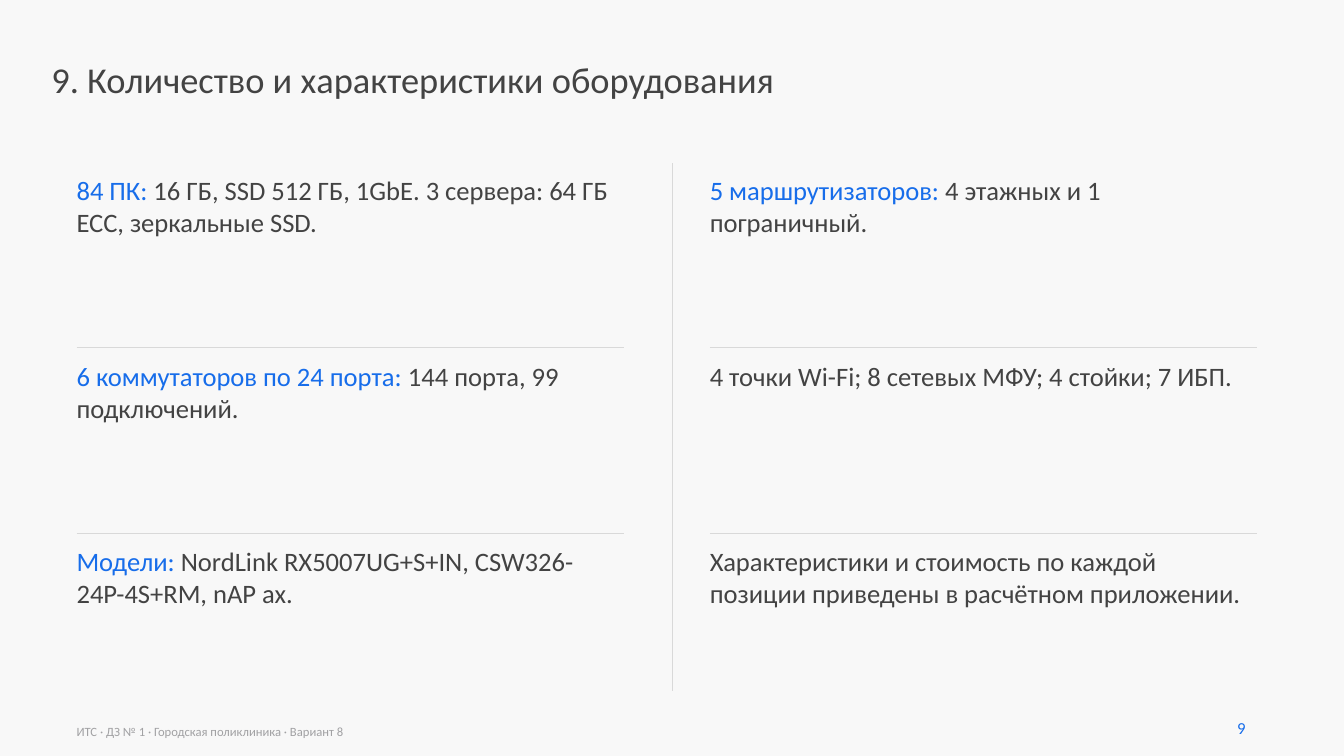
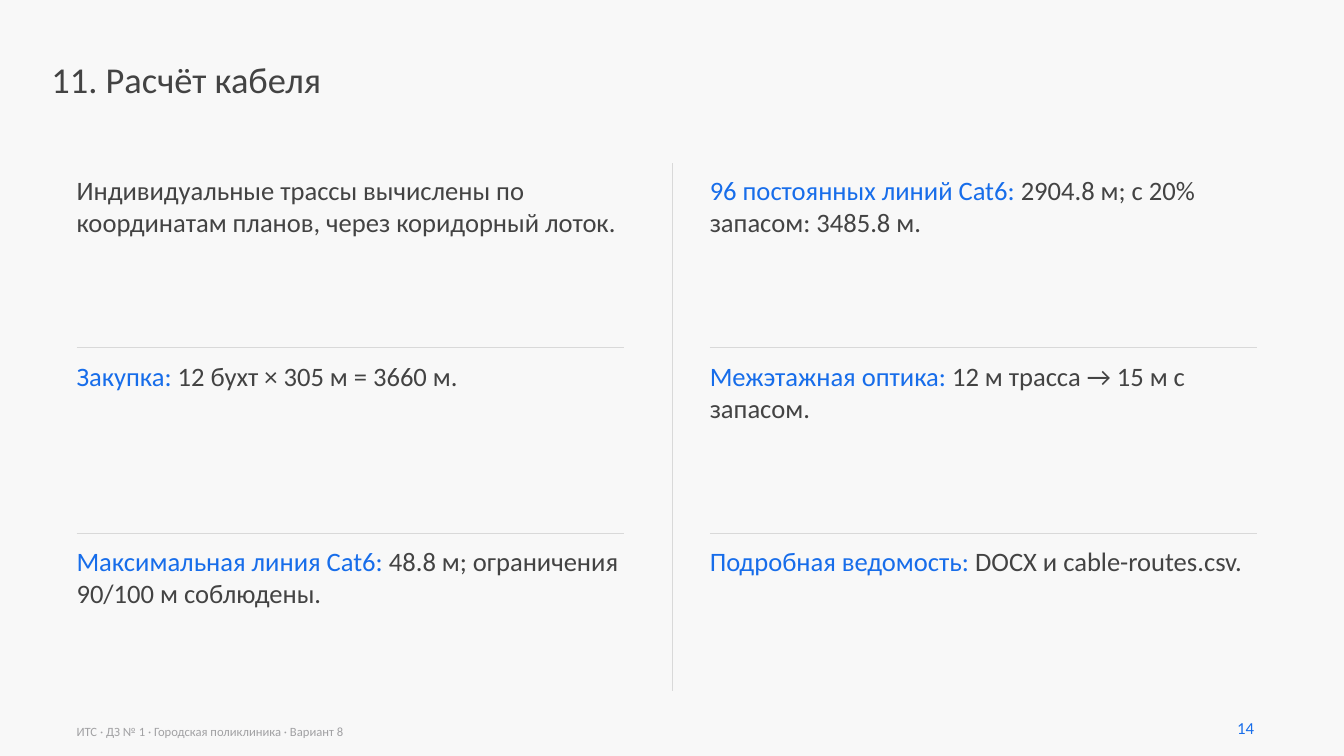
from lxml import etree
from pptx import Presentation, util as u
from pptx.dml.color import RGBColor
from pptx.enum import shapes, text
from pptx.oxml.ns import qn

FOOTER = "ИТС · ДЗ № 1 · Городская поликлиника · Вариант 8"
SLIDES = [
    {
        "title": "9. Количество и характеристики оборудования",
        "number": "9",
        "facts": [
            ("84 ПК:", " 16 ГБ, SSD 512 ГБ, 1GbE. 3 сервера: 64 ГБ ECC, зеркальные SSD."),
            ("5 маршрутизаторов:", " 4 этажных и 1 пограничный."),
            ("6 коммутаторов по 24 порта:", " 144 порта, 99 подключений."),
            ("", "4 точки Wi-Fi; 8 сетевых МФУ; 4 стойки; 7 ИБП."),
            ("Модели:", " NordLink RX5007UG+S+IN, CSW326-24P-4S+RM, nAP ax."),
            ("", "Характеристики и стоимость по каждой позиции приведены в расчётном приложении."),
        ],
    },
    {
        "title": "11. Расчёт кабеля",
        "number": "14",
        "facts": [
            ("", "Индивидуальные трассы вычислены по координатам планов, через коридорный лоток."),
            ("96 постоянных линий Cat6:", " 2904.8 м; с 20% запасом: 3485.8 м."),
            ("Закупка:", " 12 бухт × 305 м = 3660 м."),
            ("Межэтажная оптика:", " 12 м трасса → 15 м с запасом."),
            ("Максимальная линия Cat6:", " 48.8 м; ограничения 90/100 м соблюдены."),
            ("Подробная ведомость:", " DOCX и cable-routes.csv."),
        ],
    },
]

COLORS = {"back": "F8F8F8", "ink": "434343", "accent": "176DEA",
          "rule": "D9D9D9", "footer": "A1A1A3"}
FONT = "Calibri"
COLUMNS = (0.76, 7.04)
CELL_W, CELL_H = 5.43, 1.55
ROW_TOP, ROW_STEP = 1.73, 1.84
RULE_GAP = 0.12
DIVIDER = (6.67, 1.62, 6.67, 6.86)


def rgb(name):
    return RGBColor.from_string(COLORS[name])


def write(sp, box, size, runs):
    sp.left, sp.top, sp.width, sp.height = map(u.Inches, box)
    tf = sp.text_frame
    tf.word_wrap = True
    tf.auto_size = text.MSO_AUTO_SIZE.NONE
    tf.vertical_anchor = text.MSO_ANCHOR.TOP
    tf.margin_left = tf.margin_top = tf.margin_right = tf.margin_bottom = 0
    p = tf.paragraphs[0]
    p.alignment = text.PP_ALIGN.LEFT
    for words, color in runs:
        r = p.add_run()
        r.text = words
        r.font.name = FONT
        r.font.size = u.Pt(size)
        r.font.color.rgb = rgb(color)


def add_text(s, box, size, runs):
    write(s.shapes.add_textbox(*map(u.Inches, box)), box, size, runs)


def add_rule(s, ends):
    line = s.shapes.add_connector(shapes.MSO_CONNECTOR.STRAIGHT, *map(u.Inches, ends))
    line.line.color.rgb = rgb("rule")
    line.line.width = u.Pt(0.75)
    etree.SubElement(line._element.spPr, qn("a:effectLst"))


def add_facts(s, facts):
    for i, (label, detail) in enumerate(facts):
        row, col = divmod(i, len(COLUMNS))
        x, y = COLUMNS[col], ROW_TOP + row * ROW_STEP
        if row:
            add_rule(s, (x, y - RULE_GAP, x + CELL_W, y - RULE_GAP))
        runs = [(label, "accent")] if label else []
        add_text(s, (x, y, CELL_W, CELL_H), 19, runs + [(detail, "ink")])


def add_slide(prs, content):
    s = prs.slides.add_slide(prs.slide_layouts[5])
    write(s.shapes.title, (0.51, 0.57, 12.26, 0.95), 26, [(content["title"], "ink")])
    add_rule(s, DIVIDER)
    add_facts(s, content["facts"])
    add_text(s, (COLUMNS[0], 7.18, 10, 0.18), 9, [(FOOTER, "footer")])
    add_text(s, (12.27, 7.12, 0.45, 0.27), 12, [(content["number"], "accent")])


def main():
    prs = Presentation()
    prs.slide_width, prs.slide_height = u.Inches(13.33), u.Inches(7.5)
    fill = prs.slide_master.background.fill
    fill.solid()
    fill.fore_color.rgb = rgb("back")
    for content in SLIDES:
        add_slide(prs, content)
    prs.save("out.pptx")


if __name__ == "__main__":
    main()
